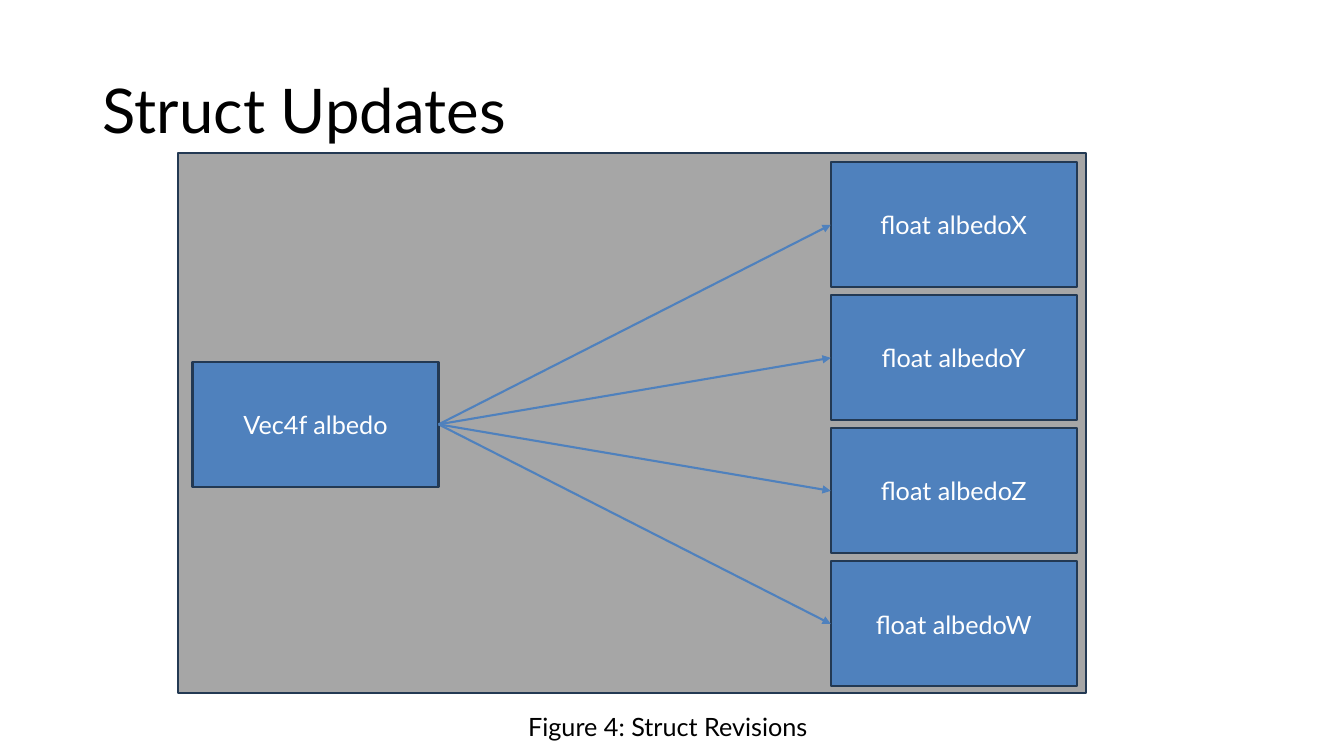
from dataclasses import dataclass

from lxml.etree import SubElement
from pptx import Presentation
from pptx.dml.color import RGBColor
from pptx.enum.shapes import MSO_CONNECTOR as Line, MSO_SHAPE as Shape
from pptx.enum.text import MSO_ANCHOR as Anchor, MSO_AUTO_SIZE as Fit, PP_ALIGN as Align
from pptx.oxml.ns import qn
from pptx.util import Inches, Pt

BLACK = RGBColor(0x00, 0x00, 0x00)
WHITE = RGBColor(0xFF, 0xFF, 0xFF)
GREY = RGBColor(0xA6, 0xA6, 0xA6)
BLUE = RGBColor(0x4F, 0x81, 0xBD)
NAVY = RGBColor(0x23, 0x39, 0x53)

# Diagram grid, in inches
GRID_LEFT, GRID_TOP = 1.91, 1.61
COL_STEP, ROW_STEP = 6.33, 1.32
BOX_W, BOX_H = 2.44, 1.24
LEFT_SITE, RIGHT_SITE = 1, 3

TITLE_FORMAT = {"name": "Lato", "size": Pt(44)}
BODY_FORMAT = {"name": "Lato", "size": Pt(18)}


@dataclass(frozen=True)
class Field:
    text: str
    col: float
    row: float


SOURCE = Field("Vec4f albedo", 0, 1.5)
TARGETS = [Field(f"float albedo{axis}", 1, row) for row, axis in enumerate("XYZW")]


def write(tf, text: str, fmt: dict, color: RGBColor, align: Align):
    """Fill a text frame with one formatted paragraph and return it."""
    tf.word_wrap = True
    p = tf.paragraphs[0]
    p.alignment = align
    r = p.add_run()
    r.text = text
    for name, value in fmt.items():
        setattr(r.font, name, value)
    r.font.color.rgb = color
    return p


def add_rect(shapes, left: float, top: float, width: float, height: float, fill: RGBColor):
    sp = shapes.add_shape(Shape.RECTANGLE, *map(Inches, (left, top, width, height)))
    sp.shadow.inherit = False
    sp.fill.solid()
    sp.fill.fore_color.rgb = fill
    sp.line.color.rgb = NAVY
    sp.line.width = Pt(1.5)
    return sp


def add_field(shapes, field: Field):
    sp = add_rect(shapes, GRID_LEFT + field.col * COL_STEP,
                  GRID_TOP + field.row * ROW_STEP, BOX_W, BOX_H, BLUE)
    sp.text_frame.vertical_anchor = Anchor.MIDDLE
    write(sp.text_frame, field.text, BODY_FORMAT, WHITE, Align.CENTER)
    return sp


def add_arrow(shapes, start, end) -> None:
    """Join the right side of start to the left side of end."""
    cxn = shapes.add_connector(
        Line.STRAIGHT, start.left + start.width, start.top + start.height // 2,
        end.left, end.top + end.height // 2)
    cxn.begin_connect(start, RIGHT_SITE)
    cxn.end_connect(end, LEFT_SITE)
    cxn.line.color.rgb = BLUE
    cxn.line.width = Pt(1.5)
    SubElement(cxn.line._get_or_add_ln(), qn("a:tailEnd"), type="triangle")
    SubElement(cxn.element.spPr, qn("a:effectLst"))


def main() -> None:
    prs = Presentation()
    prs.slide_width, prs.slide_height = Inches(13.33), Inches(7.5)
    s = prs.slides.add_slide(prs.slide_layouts[5])

    # Title
    title = s.shapes.title
    title.left, title.top, title.width, title.height = map(Inches, (0.92, 0.4, 11.5, 1.45))
    title.text_frame.vertical_anchor = Anchor.MIDDLE
    title.text_frame.auto_size = Fit.NONE
    p = write(title.text_frame, "Struct Updates", TITLE_FORMAT, BLACK, Align.LEFT)
    p.line_spacing = 0.9

    # Backing panel, placed behind the title
    panel = add_rect(s.shapes, 1.77, 1.52, 9, 5.36, GREY)
    title.element.addprevious(panel.element)

    # Struct diagram
    diagram = s.shapes.add_group_shape().shapes
    source = add_field(diagram, SOURCE)
    targets = [add_field(diagram, field) for field in TARGETS]
    for target in targets:
        add_arrow(diagram, source, target)

    # Caption
    caption = s.shapes.add_textbox(*map(Inches, (5.14, 7.01, 3.06, 0.4)))
    write(caption.text_frame, "Figure 4: Struct Revisions", BODY_FORMAT, BLACK, Align.LEFT)
    caption.text_frame.auto_size = Fit.SHAPE_TO_FIT_TEXT

    prs.save("out.pptx")


if __name__ == "__main__":
    main()
